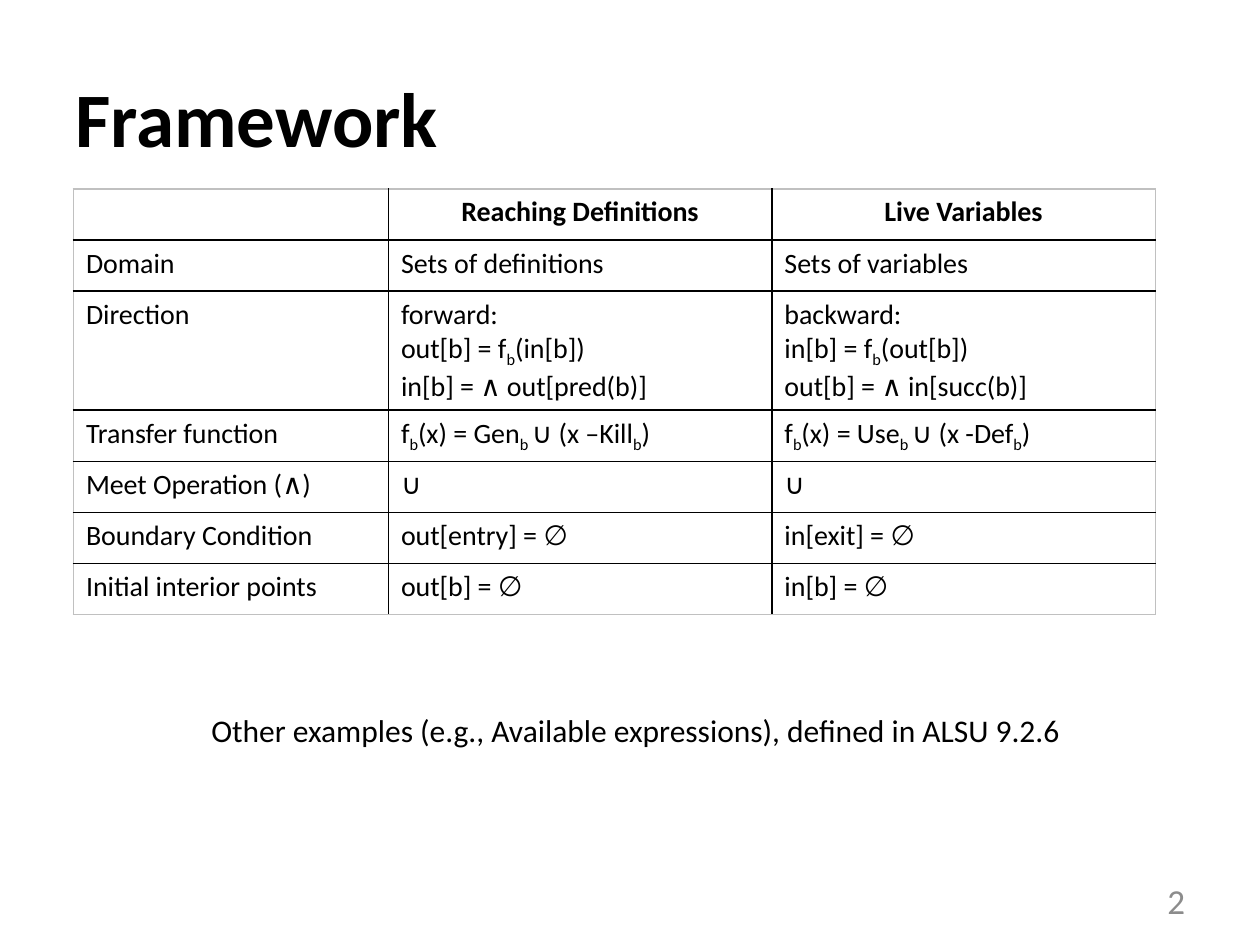
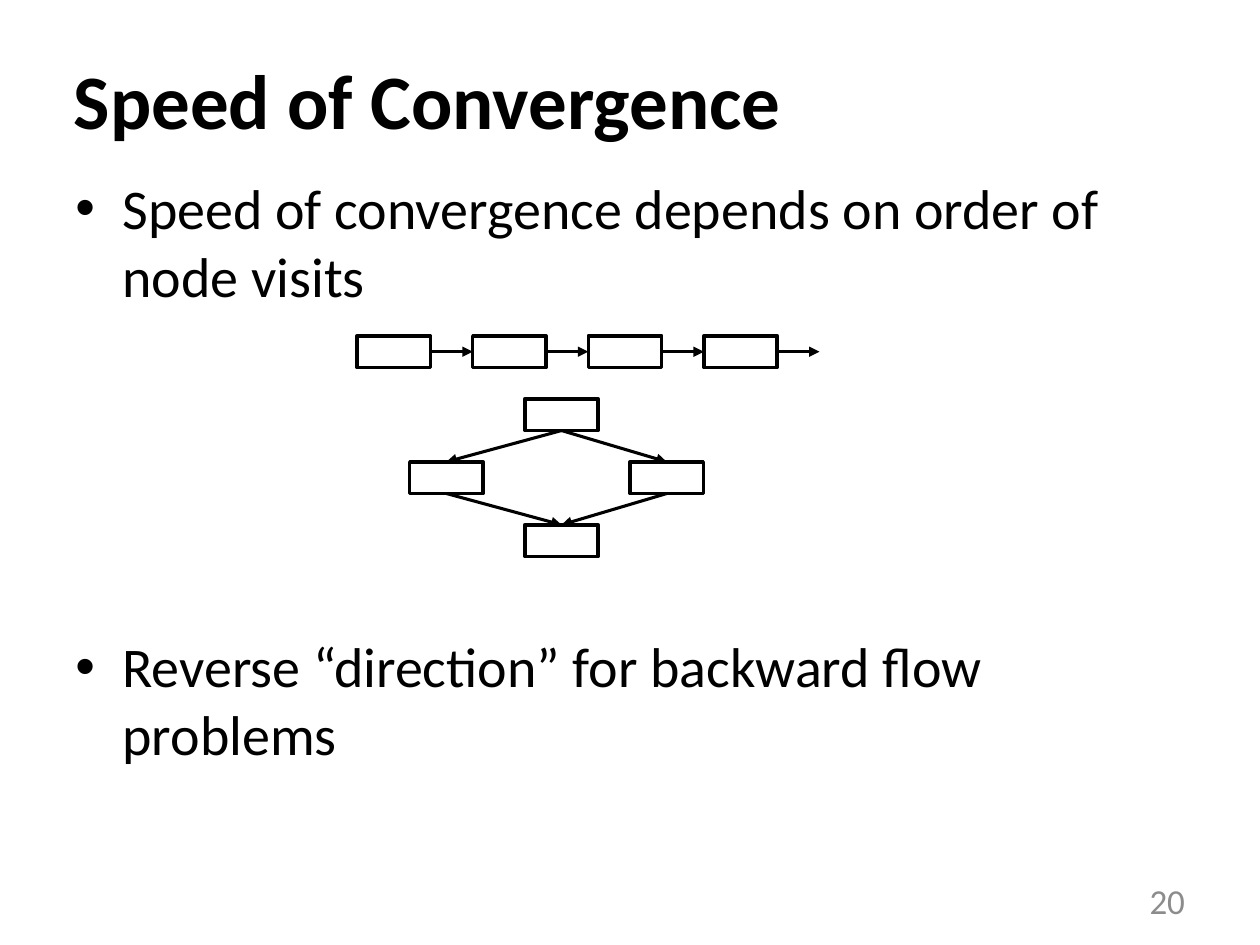
from lxml import etree
from pptx import Presentation
from pptx import util as u
from pptx.dml import color
from pptx.enum import shapes, text
from pptx.oxml import ns

ALIGN = text.PP_ALIGN
TOP, LEFT, BOTTOM, RIGHT = range(4)  # connection sites of a rectangle


def rgb(value):
    return color.RGBColor.from_string(value)


def add_xml(parent, tag, **attributes):
    return etree.SubElement(parent, ns.qn(tag), attributes)


class Deck:
    """Shared style and the slide being filled; lengths are in centimetres."""

    font, ink, paper, muted, frame = "Calibri", "000000", "FFFFFF", "8C8C8C", "C0C0C0"
    node_width, node_height = 1.48, 0.64

    def __init__(self):
        self.presentation = Presentation()
        self.presentation.slide_width = u.Cm(25.4)
        self.presentation.slide_height = u.Cm(19.05)
        self.slide = None

    def new_slide(self, title, number, left, top):
        self.slide = self.presentation.slides.add_slide(self.presentation.slide_layouts[6])
        fill = self.slide.background.fill
        fill.solid()
        fill.fore_color.rgb = rgb(self.paper)
        middle = text.MSO_ANCHOR.MIDDLE
        self.text_box(title, (left, top, 22.86, 3.18), 44, bold=True, anchor=middle)
        self.text_box(number, (18.21, 17.65, 5.93, 1.02), 20, shade=self.muted,
                      align=ALIGN.RIGHT, anchor=middle)

    def add_runs(self, paragraph, content, size, bold=False, shade=None, align=ALIGN.LEFT):
        """Add runs; text between underscores is subscript, \\v breaks the line."""
        paragraph.alignment = align
        for line_index, line in enumerate(content.split("\v")):
            if line_index:
                paragraph.add_line_break()
            for part_index, part in enumerate(line.split("_")):
                if not part:
                    continue
                run = paragraph.add_run()
                run.text = part
                run.font.name = self.font
                run.font.size = u.Pt(size)
                run.font.bold = bold
                run.font.color.rgb = rgb(shade or self.ink)
                if part_index % 2:
                    run._r.get_or_add_rPr().set("baseline", "-25000")

    def text_box(self, content, box, size, wrap=True, anchor=text.MSO_ANCHOR.TOP, **style):
        shape = self.slide.shapes.add_textbox(*map(u.Cm, box))
        frame = shape.text_frame
        frame.word_wrap = wrap
        frame.vertical_anchor = anchor
        if not wrap:
            frame.auto_size = text.MSO_AUTO_SIZE.SHAPE_TO_FIT_TEXT
        if content:
            self.add_runs(frame.paragraphs[0], content, size, **style)
        return frame

    def bullets(self, items, box, size, gap):
        frame = self.text_box("", box, size)
        for index, item in enumerate(items):
            paragraph = frame.add_paragraph() if index else frame.paragraphs[0]
            self.add_runs(paragraph, item, size)
            paragraph.space_before = u.Pt(gap if index else 0)
            properties = paragraph._p.get_or_add_pPr()
            indent = u.Cm(0.95)
            properties.set("marL", str(indent))
            properties.set("indent", str(-indent))
            add_xml(properties, "a:buFont", typeface="Arial")
            add_xml(properties, "a:buChar", char="•")

    def borders(self, cell, edges):
        properties = cell._tc.get_or_add_tcPr()
        for side, shade in edges.items():
            line = add_xml(properties, f"a:ln{side}", w=str(u.Pt(1)))
            add_xml(add_xml(line, "a:solidFill"), "a:srgbClr", val=shade)

    def table(self, rows, left, top, widths, heights, size):
        shape = self.slide.shapes.add_table(
            len(rows), len(widths), u.Cm(left), u.Cm(top),
            u.Cm(sum(widths)), u.Cm(sum(heights)))
        table = shape.table
        table.first_row = table.horz_banding = False
        for column, width in zip(table.columns, widths):
            column.width = u.Cm(width)
        last_row, last_column = len(rows) - 1, len(widths) - 1
        for i, row in enumerate(rows):
            table.rows[i].height = u.Cm(heights[i])
            for j, content in enumerate(row):
                cell = table.cell(i, j)
                outer = {"L": j == 0, "R": j == last_column, "T": i == 0, "B": i == last_row}
                self.borders(cell, {side: self.frame if is_outer else self.ink
                                    for side, is_outer in outer.items()})
                cell.fill.background()
                frame = cell.text_frame
                for k, item in enumerate(content.split("\n")):
                    paragraph = frame.add_paragraph() if k else frame.paragraphs[0]
                    self.add_runs(paragraph, item, size, bold=i == 0,
                                  align=ALIGN.LEFT if i else ALIGN.CENTER)

    def node(self, left, top):
        shape = self.slide.shapes.add_shape(
            shapes.MSO_SHAPE.RECTANGLE,
            *map(u.Cm, (left, top, self.node_width, self.node_height)))
        shape.shadow.inherit = False
        shape.fill.background()
        shape.line.color.rgb = rgb(self.ink)
        shape.line.width = u.Pt(2)
        return shape

    def arrow(self, start, end):
        connector = self.slide.shapes.add_connector(
            shapes.MSO_CONNECTOR.STRAIGHT, *map(u.Cm, (*start, *end)))
        connector.line.color.rgb = rgb(self.ink)
        connector.line.width = u.Pt(1.75)
        add_xml(connector.line._get_or_add_ln(), "a:tailEnd", type="triangle")
        add_xml(connector._element.spPr, "a:effectLst")
        return connector

    def link(self, source, source_site, target, target_site):
        connector = self.arrow((0, 0), (1, 1))
        connector.begin_connect(source, source_site)
        connector.end_connect(target, target_site)


deck = Deck()

# Slide 1: data-flow framework
deck.new_slide("Framework", "2", 1.27, 0.76)
framework = [
    ("", "Reaching Definitions", "Live Variables"),
    ("Domain", "Sets of definitions", "Sets of variables"),
    ("Direction",
     "forward:\vout[b] = f_b_(in[b])\nin[b] = ∧ out[pred(b)]",
     "backward: \vin[b] = f_b_(out[b])\nout[b] = ∧ in[succ(b)]"),
    ("Transfer function",
     "f_b_(x) = Gen_b _∪ (x –Kill_b_)",
     "f_b_(x) = Use_b _∪ (x -Def_b_)"),
    ("Meet Operation (∧)", "∪", "∪"),
    ("Boundary Condition", "out[entry] = ∅", "in[exit] = ∅"),
    ("Initial interior points", "out[b] = ∅", "in[b] = ∅"),
]
row_heights = [2.4 if row[0] == "Direction" else 1.03 for row in framework]
deck.table(framework, 1.48, 3.81, (6.35, 7.73, 7.73), row_heights, 16)
deck.text_box("Other examples (e.g., Available expressions), defined in ALSU 9.2.6",
              (4.01, 14.2, 17.68, 1.02), 18, wrap=False)

# Slide 2: speed of convergence
deck.new_slide("Speed of Convergence", "20", 1.24, 0.41)
deck.bullets(["Speed of convergence depends on order of node visits",
              "Reverse “direction” for backward flow problems"],
             (1.27, 3.38, 22.86, 13.64), 32, gap=185)

# Chain of nodes, with an open last arrow
chain_left, chain_top, pitch = 7.2, 6.77, 2.33
chain = [deck.node(chain_left + i * pitch, chain_top) for i in range(4)]
for source, target in zip(chain, chain[1:]):
    deck.link(source, RIGHT, target, LEFT)
exit_left = chain_left + 3 * pitch + deck.node_width
exit_top = chain_top + deck.node_height / 2
deck.arrow((exit_left, exit_top), (exit_left + pitch - deck.node_width, exit_top))

# Diamond of nodes
diamond_top, step = 8.04, 1.27
entry = deck.node(10.58, diamond_top)
merge = deck.node(10.58, diamond_top + 2 * step)
branches = [deck.node(left, diamond_top + step) for left in (12.7, 8.26)]
for branch in branches:
    deck.link(entry, BOTTOM, branch, TOP)
for branch in reversed(branches):
    deck.link(branch, BOTTOM, merge, TOP)

deck.presentation.save("out.pptx")
